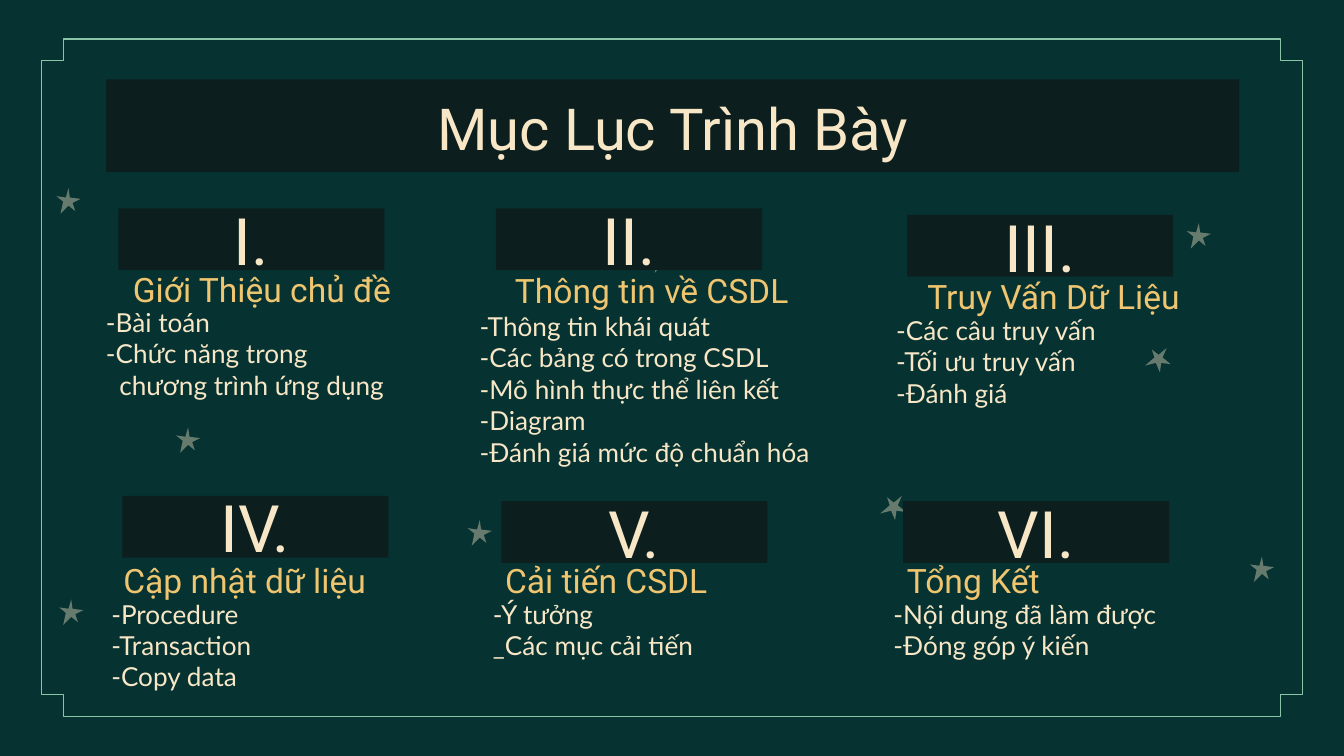
from lxml.etree import SubElement
from pptx import Presentation
from pptx.dml.color import RGBColor
from pptx.enum.shapes import MSO_SHAPE as Shape
from pptx.enum.text import MSO_ANCHOR as Anchor, PP_ALIGN as Align
from pptx.oxml.ns import qn
from pptx.util import Emu, Inches, Pt

COLUMNS, ROWS = 100, 56.25
CELL = Inches(0.1)
BACK, BAR, CREAM, GOLD, MINT = "063332", "0C1F1E", "F7E7C6", "EFC570", "8BC5A7"

FORMATS = {
    "title": {"size": Pt(31), "name": "Roboto", "color": CREAM},
    "numeral": {"size": Pt(35), "name": "Roboto", "color": CREAM},
    "heading": {"size": Pt(18), "name": "Roboto", "color": GOLD},
    "list": {"size": Pt(14), "name": "Lato", "color": CREAM},
}

UPRIGHT = [(9, 0), (7, 7), (0, 6), (5, 10), (3, 19), (9, 13), (14, 17), (12, 11), (18, 8), (10, 7)]
TILTED = [(16, 0), (10, 5), (5, 1), (7, 7), (0, 13), (8, 11), (11, 18), (12, 11), (19, 12), (13, 7)]
STARS = [
    (TILTED, [(65.5, 36.9), (85.2, 25.9)]),
    (UPRIGHT, [(48.4, 18.4), (34.8, 38.7), (4.2, 14), (88.3, 16.6), (93, 41.4), (13.1, 31.8), (4.4, 44.6)]),
]

SECTIONS = [
    ("I.", (8.8, 15.5), "Giới Thiệu chủ đề", (7, 19), Align.CENTER, (6.9, 22.8), 24.3,
     [("-Bài toán", 0, 0), ("-Chức năng trong", 0, 0), ("chương trình ứng dụng", 1, 0)]),
    ("II.", (36.9, 15.5), "Thông tin về CSDL", (36, 19.1), Align.CENTER, (34.7, 23.1), 28.8,
     [("-Thông tin khái quát", 0, 0), ("-Các bảng có trong CSDL", 0, 0),
      ("-Mô hình thực thể liên kết", 0, 0), ("-Diagram", 0, 0), ("-Đánh giá mức độ chuẩn hóa", 0, 0)]),
    ("III.", (67.5, 16), "Truy Vấn Dữ Liệu", (65.9, 19.5), Align.CENTER, (64.2, 23.4), 25,
     [("-Các câu truy vấn", 5, -3.5), ("-Tối ưu truy vấn", 5, -3.5), ("-Đánh giá", 5, -3.5)]),
    ("IV.", (9.1, 36.9), "Cập nhật dữ liệu", (8.2, 40.7), Align.LEFT, (7.3, 44.5), 25,
     [("-Procedure", 0, 0), ("-Transaction", 0, 0), ("-Copy data", 0, 0)]),
    ("V.", (37.3, 37.3), "Cải tiến CSDL", (36.6, 40.7), Align.LEFT, (35.7, 44.5), 25,
     [("-Ý tưởng", 0, 0), ("_Các mục cải tiến", 0, 0)]),
    ("VI.", (67.2, 37.3), "Tổng Kết", (66.5, 40.7), Align.LEFT, (65.5, 44.5), 25,
     [("-Nội dung đã làm được", 0, 0), ("-Đóng góp ý kiến", 0, 0)]),
]


def cells(*counts):
    return [Emu(round(count * CELL)) for count in counts]


def paint(target, color):
    target.solid()
    target.fore_color.rgb = RGBColor.from_string(color)


class Board:
    """Holds the style and the current slide, measured in grid cells."""

    def __init__(self, deck):
        deck.slide_width, deck.slide_height = cells(COLUMNS, ROWS)
        self.page = deck.slides.add_slide(deck.slide_layouts[6])
        paint(self.page.background.fill, BACK)

    def frame(self, spot, size):
        shape = self.page.shapes.add_shape(Shape.CROSS, *cells(*spot, *size))
        shape.shadow.inherit = False
        shape.adjustments[0] = 0.032
        shape.fill.background()
        paint(shape.line.fill, MINT)
        shape.line.width = Pt(0.75)

    def star(self, outline, spot):
        builder = self.page.shapes.build_freeform(*outline[0], scale=CELL / 10)
        builder.add_line_segments(outline[1:], close=True)
        shape = builder.convert_to_shape(*cells(*spot))
        shape.shadow.inherit = False
        shape.line.fill.background()
        paint(shape.fill, CREAM)
        color = shape.fill._xPr.find(qn("a:solidFill"))[0]
        SubElement(color, qn("a:alpha")).set("val", "40000")

    def bar(self, text, spot, size, kind, anchor):
        shape = self.page.shapes.add_shape(Shape.RECTANGLE, *cells(*spot, *size))
        shape.shadow.inherit = False
        paint(shape.fill, BAR)
        shape.line.fill.background()
        self.set_lines(shape, [(text, 0, 0)], kind, Align.CENTER, anchor)

    def text(self, lines, spot, size, kind, align=Align.LEFT, top=1):
        box = self.page.shapes.add_textbox(*cells(*spot, *size))
        self.set_lines(box, lines, kind, align, Anchor.TOP, top)

    def set_lines(self, box, lines, kind, align, anchor, top=1):
        frame = box.text_frame
        side, upper = cells(1, top)
        layout = {"word_wrap": True, "vertical_anchor": anchor, "margin_left": side,
                  "margin_right": side, "margin_top": upper, "margin_bottom": side}
        for name, value in layout.items():
            setattr(frame, name, value)
        for index, (line, margin, indent) in enumerate(lines):
            para = frame.add_paragraph() if index else frame.paragraphs[0]
            para.alignment = align
            if margin:
                for name, length in zip(("marL", "indent"), cells(margin, indent)):
                    para._p.get_or_add_pPr().set(name, str(int(length)))
            span = para.add_run()
            span.text = line
            for name, value in FORMATS[kind].items():
                if name == "color":
                    paint(span.font.fill, value)
                else:
                    setattr(span.font, name, value)


def main():
    deck = Presentation()
    board = Board(deck)
    board.frame((3.1, 2.9), (93.8, 50.4))
    for outline, spots in STARS:
        for spot in spots:
            board.star(outline, spot)
    board.bar("Mục Lục Trình Bày", (7.9, 5.9), (84.3, 6.9), "title", Anchor.TOP)
    for numeral, bar_spot, heading, heading_spot, align, list_spot, width, lines in SECTIONS:
        board.bar(numeral, bar_spot, (19.8, 4.6), "numeral", Anchor.MIDDLE)
        board.text([(heading, 0, 0)], heading_spot, (25, 6.6), "heading", align)
        board.text(lines, list_spot, (width, 4.6), "list", top=0)
    deck.save("out.pptx")


if __name__ == "__main__":
    main()
